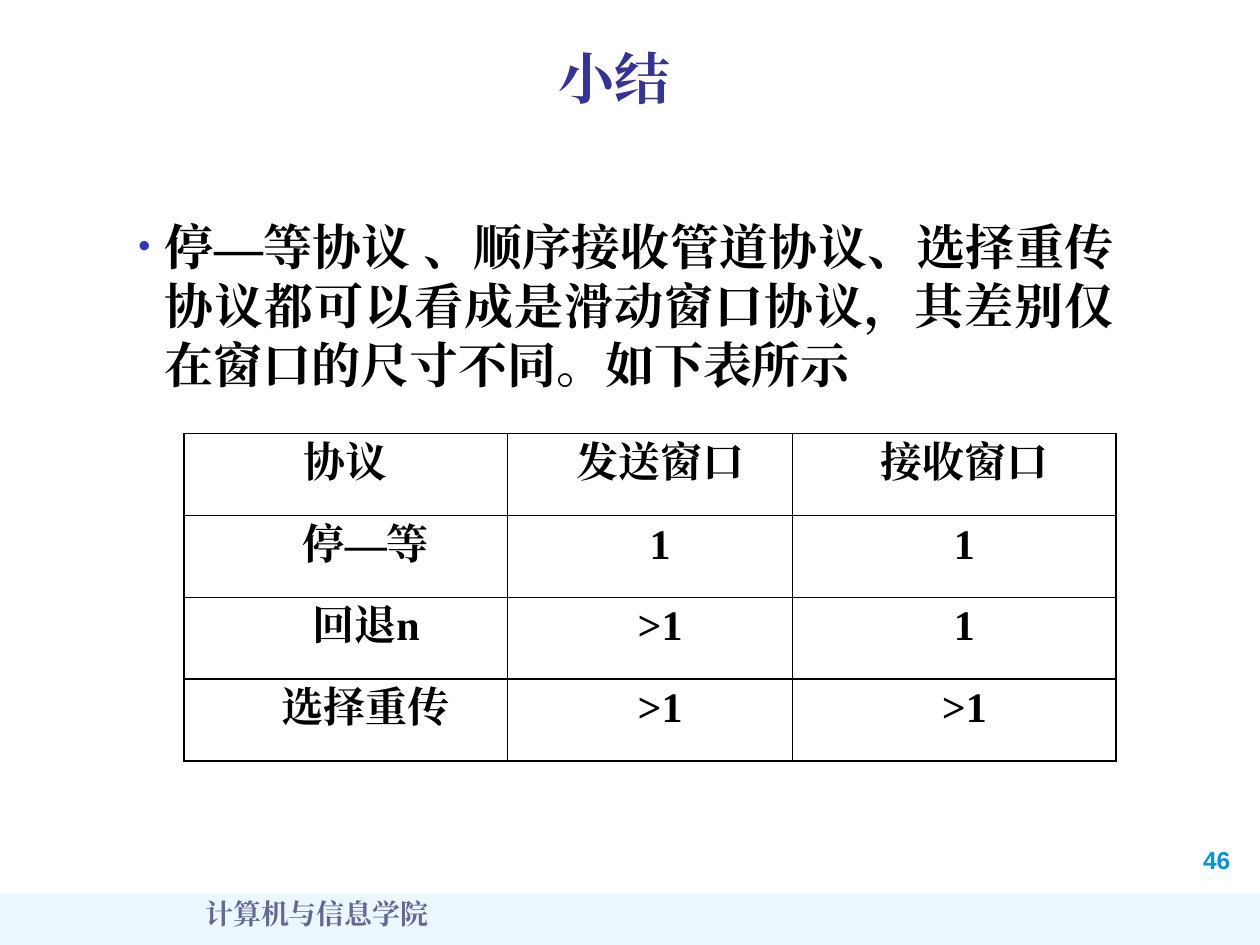
import collections
import pptx
import pptx.util
import pptx.dml.color
import pptx.enum.shapes
import pptx.enum.text
import pptx.oxml.ns
from lxml import etree

Inches, Pt = pptx.util.Inches, pptx.util.Pt
Align, Anchor = pptx.enum.text.PP_ALIGN, pptx.enum.text.MSO_ANCHOR
qn = pptx.oxml.ns.qn
Box = collections.namedtuple("Box", "left top width height")


class Theme:
    black, title, foot = "000000", "333399", "666699"
    page, band, bullet, white = "0094DE", "A7E2FF", "3333CC", "FFFFFF"
    serif, sans = "Times New Roman", "Arial"
    head, body, cell, note, num = 32, 28, 24, 16, 14
    hang = 0.21


def color(code):
    return pptx.dml.color.RGBColor.from_string(code)


def add(node, tag, **attrs):
    return etree.SubElement(node, qn(tag), attrs)


def inches(box):
    return [Inches(side) for side in box]


def write(para, text, size, code, face):
    """Add one bold run, with a serif face for East Asian signs."""
    run = para.add_run()
    run.text = text
    font = run.font
    font.size, font.bold, font.name = Pt(size), True, face
    font.color.rgb = color(code)
    add(font._element, "a:ea", typeface=Theme.serif)
    return run


def frame(slide, box, align, anchor=Anchor.TOP):
    """Place a wrapped text box and return its first paragraph."""
    text = slide.shapes.add_textbox(*inches(box)).text_frame
    text.word_wrap = True
    text.vertical_anchor = anchor
    para = text.paragraphs[0]
    para.alignment = align
    return para


def title(slide, box):
    para = frame(slide, box, Align.CENTER, Anchor.MIDDLE)
    run = write(para, "小结", Theme.head, Theme.title, Theme.serif)
    glow = etree.Element(qn("a:effectLst"))
    cast = add(glow, "a:outerShdw", dist="25400", dir="2700000")
    add(cast, "a:srgbClr", val="C0C0C0")
    run.font._element.find(qn("a:solidFill")).addnext(glow)


def body(slide, box):
    para = frame(slide, box, Align.JUSTIFY)
    props = para._p.get_or_add_pPr()
    props.set("marL", str(Inches(Theme.hang)))
    props.set("indent", str(-Inches(Theme.hang)))
    add(add(props, "a:buClr"), "a:srgbClr", val=Theme.bullet)
    add(props, "a:buSzPct", val="70000")
    add(props, "a:buFont", typeface=Theme.sans)
    add(props, "a:buChar", char="•")
    write(para, "停—等协议 、顺序接收管道协议、选择重传协议都可以看成是滑动窗口协议，"
          "其差别仅在窗口的尺寸不同。如下表所示",
          Theme.body, Theme.black, Theme.sans)


def border(cell):
    props = cell._tc.get_or_add_tcPr()
    for spot, side in enumerate(("a:lnL", "a:lnR", "a:lnT", "a:lnB")):
        line = etree.Element(qn(side), w=str(Pt(1)))
        add(add(line, "a:solidFill"), "a:srgbClr", val=Theme.black)
        props.insert(spot, line)


def grid(slide, box):
    rows = [
        ("协议", "发送窗口", "接收窗口"),
        ("停—等", "1", "1"),
        ("回退n", ">1", "1"),
        ("选择重传", ">1", ">1"),
    ]
    side = 2.57
    table = slide.shapes.add_table(len(rows), 3, *inches(box)).table
    for col, width in zip(table.columns, (side, box.width - 2 * side, side)):
        col.width = Inches(width)
    for r, row in enumerate(rows):
        table.rows[r].height = Inches(box.height / len(rows))
        for c, text in enumerate(row):
            cell = table.cell(r, c)
            cell.fill.solid()
            cell.fill.fore_color.rgb = color(Theme.white)
            shift = 0.16 if c else 0.32 if r else 0
            cell.margin_left = Inches(0.1 + shift)
            border(cell)
            para = cell.text_frame.paragraphs[0]
            para.alignment = Align.CENTER
            write(para, text, Theme.cell, Theme.black, Theme.serif)


def footer(slide, box):
    band = slide.shapes.add_shape(
        pptx.enum.shapes.MSO_SHAPE.RECTANGLE, *inches(box))
    band.shadow.inherit = False
    band.line.fill.background()
    band.fill.solid()
    band.fill.fore_color.rgb = color(Theme.band)
    tint = band._element.spPr.find(qn("a:solidFill"))[0]
    add(tint, "a:alpha", val="21000")
    school = Box(box.left + 0.28, box.top - 0.02, 4.49, 0.5)
    write(frame(slide, school, Align.CENTER), "计算机与信息学院",
          Theme.note, Theme.foot, Theme.serif)
    page = Box(box.left + 9.46, box.top - 0.43, 0.59, 0.33)
    write(frame(slide, page, Align.LEFT), "46",
          Theme.num, Theme.page, Theme.sans)


def main():
    deck = pptx.Presentation()
    deck.slide_width, deck.slide_height = Inches(10), Inches(7.5)
    slide = deck.slides.add_slide(deck.slide_layouts[6])
    footer(slide, Box(-0.01, 7.09, 10.01, 0.44))
    title(slide, Box(1, 0.24, 7.75, 0.75))
    body(slide, Box(1, 1.67, 7.94, 1.5))
    grid(slide, Box(1.46, 3.44, 7.4, 2.6))
    deck.save("out.pptx")


if __name__ == "__main__":
    main()
